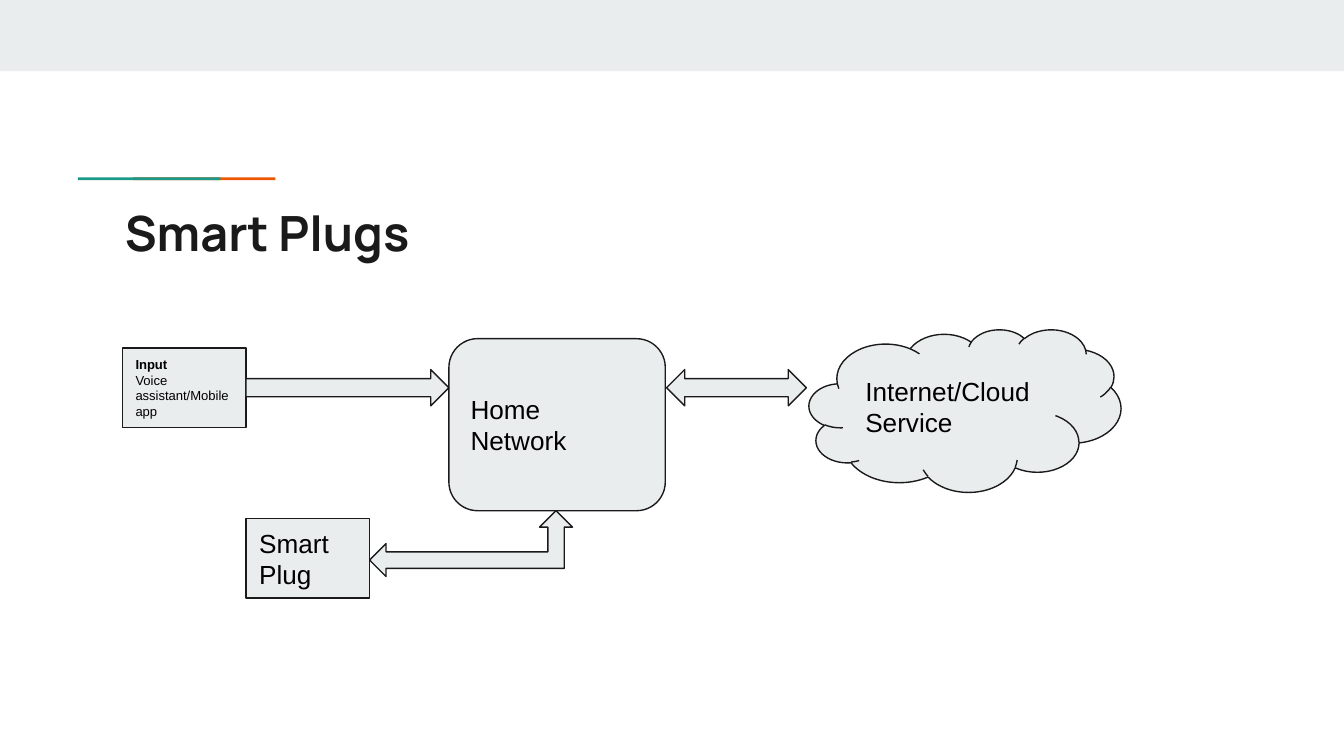
from dataclasses import dataclass

from pptx import Presentation
from pptx.dml.color import RGBColor
from pptx.enum.shapes import MSO_SHAPE
from pptx.enum.text import MSO_ANCHOR, PP_ALIGN
from pptx.util import Inches, Pt


@dataclass(frozen=True)
class Theme:
    """Colours, fonts and sizes of the slide."""
    pale: str = "E9EDEE"
    ink: str = "1A1A1A"
    text: str = "000000"
    teal: str = "1A9988"
    orange: str = "EB5600"
    head: str = "Manrope"
    body: str = "Arial"
    title: float = 26
    label: float = 14
    small: float = 7
    edge: float = 0.75


THEME = Theme()


def put(item, form):
    """Set each value of a format dict on an item."""
    for name, value in form.items():
        setattr(item, name, value)


def write(shape, parts, size, font, color, anchor=MSO_ANCHOR.MIDDLE):
    """Write (text, bold) parts as lines of one paragraph."""
    frame = shape.text_frame
    pad = Inches(0.1)
    put(frame, {"word_wrap": True, "vertical_anchor": anchor,
                "margin_left": pad, "margin_right": pad,
                "margin_top": pad, "margin_bottom": pad})
    para = frame.paragraphs[0]
    para.alignment = PP_ALIGN.LEFT
    for index, (text, bold) in enumerate(parts):
        if index:
            para.add_line_break()
        run = para.add_run()
        run.text = text
        put(run.font, {"name": font, "size": Pt(size), "bold": bold})
        run.font.color.rgb = RGBColor.from_string(color)


def block(slide, kind, area, fill, edge=None):
    """Add a filled preset shape with an optional outline."""
    shape = slide.shapes.add_shape(kind, *map(Inches, area))
    shape.shadow.inherit = False
    shape.fill.solid()
    shape.fill.fore_color.rgb = RGBColor.from_string(fill)
    if edge:
        shape.line.color.rgb = RGBColor.from_string(edge)
        shape.line.width = Pt(THEME.edge)
    else:
        shape.line.fill.background()
    return shape


def node(slide, kind, area, parts, size=THEME.label):
    """Add an outlined shape with its label."""
    shape = block(slide, kind, area, THEME.pale, THEME.ink)
    write(shape, parts, size, THEME.body, THEME.text)


def title(slide, area, text):
    """Add the slide title."""
    box = slide.shapes.add_textbox(*map(Inches, area))
    write(box, [(text, True)], THEME.title, THEME.head, THEME.ink,
          MSO_ANCHOR.TOP)


def main():
    """Build and save the slide."""
    deck = Presentation()
    wide = Inches(10)
    put(deck, {"slide_width": wide, "slide_height": wide * 9 // 16})
    slide = deck.slides.add_slide(deck.slide_layouts[6])

    rect = MSO_SHAPE.RECTANGLE
    for area, fill in (((0, 0, 10, 0.53), THEME.pale),
                       ((0.99, 1.32, 1.06, 0.02), THEME.orange),
                       ((0.58, 1.32, 1.06, 0.02), THEME.teal)):
        block(slide, rect, area, fill)
    title(slide, (0.83, 1.41, 8.41, 0.59), "Smart Plugs")

    node(slide, rect, (0.91, 2.59, 0.92, 0.59),
         [("Input", True), ("Voice assistant/Mobile app", False)], THEME.small)
    for kind, area, text in (
            (rect, (1.83, 3.86, 0.92, 0.59), "Smart Plug"),
            (MSO_SHAPE.ROUNDED_RECTANGLE, (3.34, 2.52, 1.61, 1.28),
             "Home Network"),
            (MSO_SHAPE.CLOUD, (6.02, 2.45, 2.32, 1.21),
             "Internet/Cloud Service")):
        node(slide, kind, area, [(text, False)])

    for kind, area in (
            (MSO_SHAPE.RIGHT_ARROW, (1.83, 2.75, 1.51, 0.27)),
            (MSO_SHAPE.LEFT_UP_ARROW, (2.75, 3.8, 1.51, 0.49)),
            (MSO_SHAPE.LEFT_RIGHT_ARROW, (4.96, 2.75, 1.04, 0.27))):
        block(slide, kind, area, THEME.pale, THEME.ink)

    deck.save("out.pptx")


main()
